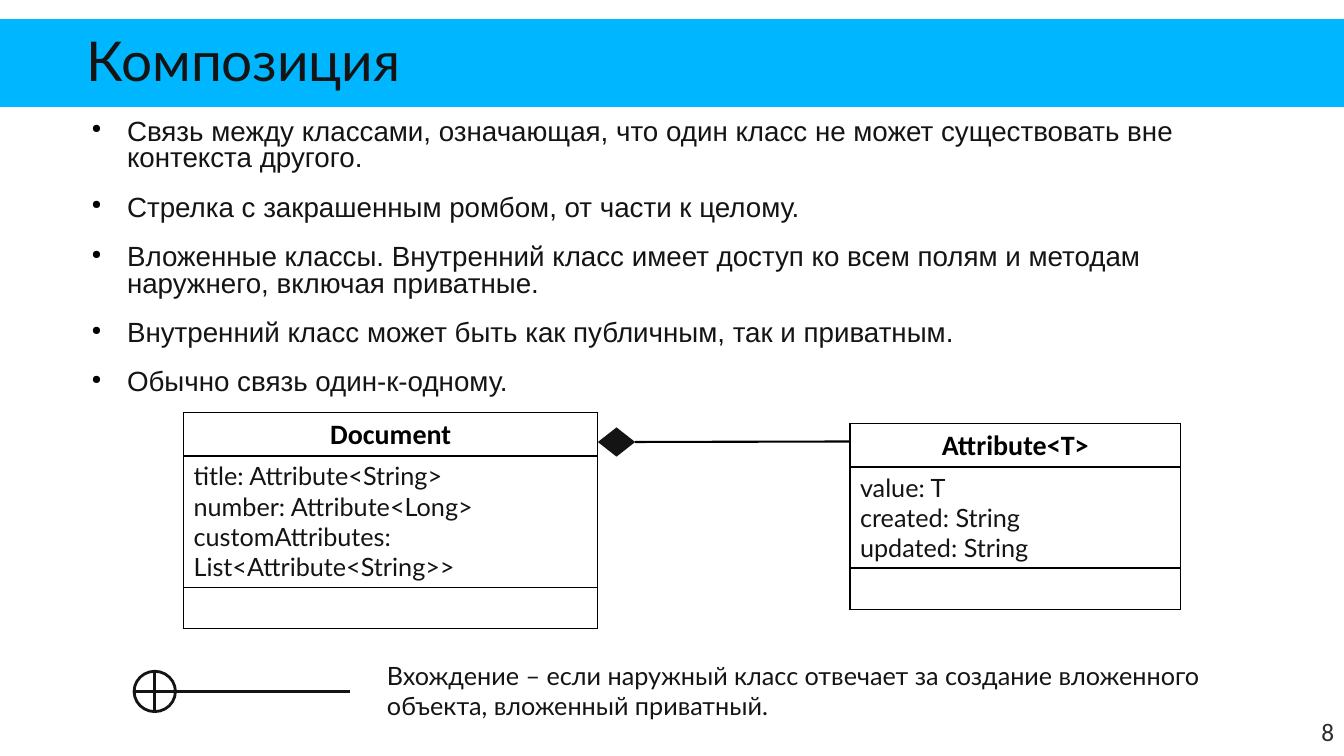
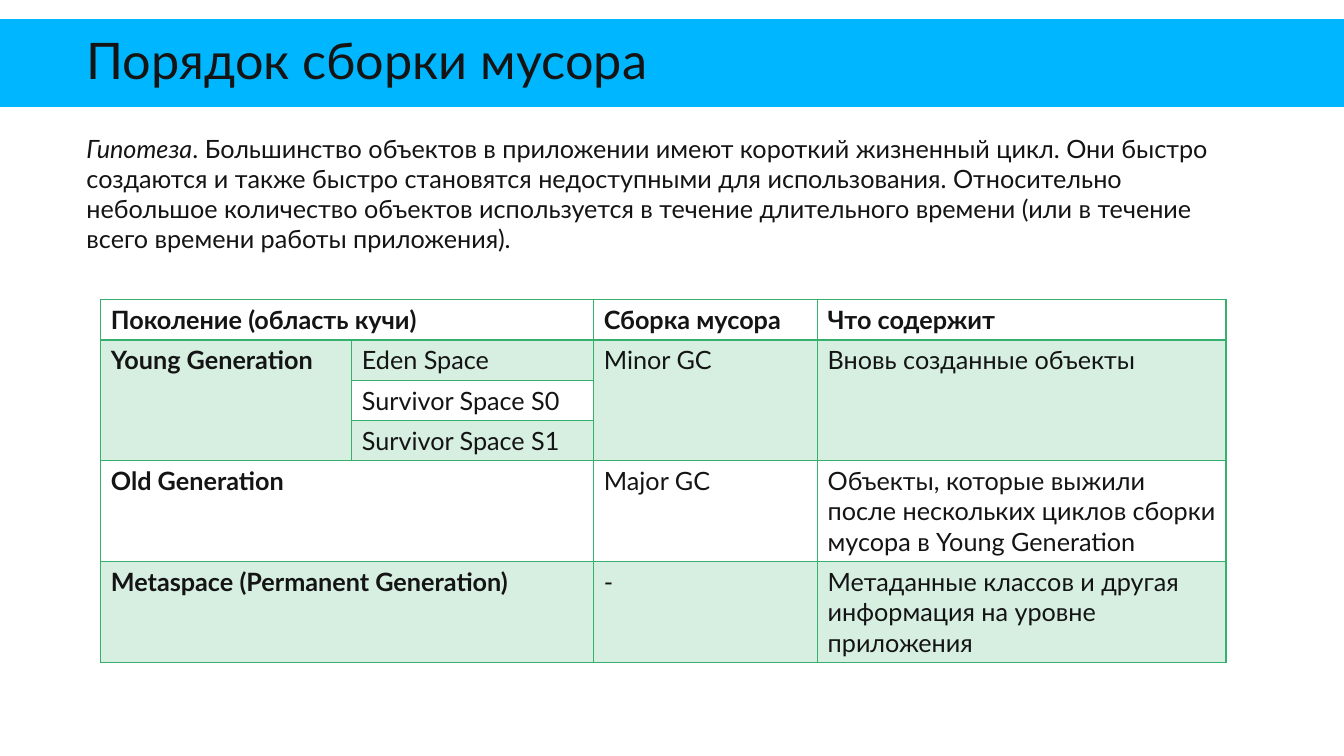
import pptx
import pptx.dml.color
import pptx.enum.shapes
import pptx.enum.text
import pptx.oxml
import pptx.oxml.ns
import pptx.util
from lxml import etree

Inches = pptx.util.Inches
Pt = pptx.util.Pt
RGBColor = pptx.dml.color.RGBColor
SHAPE = pptx.enum.shapes.MSO_SHAPE
ALIGN = pptx.enum.text.PP_ALIGN
ANCHOR = pptx.enum.text.MSO_ANCHOR

SKY = RGBColor(0x00, 0xB7, 0xFF)
INK = RGBColor(0x14, 0x14, 0x14)
GRAY = RGBColor(0x2C, 0x2C, 0x2C)
BLACK = RGBColor(0x00, 0x00, 0x00)
WHITE = RGBColor(0xFF, 0xFF, 0xFF)
GREEN = RGBColor(0x35, 0xB1, 0x6D)

SLIDE_WIDTH, SLIDE_HEIGHT = 13.33, 7.5

COMPOSITION_POINTS = [
    "Связь между классами, означающая, что один класс не может существовать вне контекста другого.",
    "Стрелка с закрашенным ромбом, от части к целому.",
    "Вложенные классы. Внутренний класс имеет доступ ко всем полям и методам наружнего, включая приватные.",
    "Внутренний класс может быть как публичным, так и приватным.",
    "Обычно связь один-к-одному.",
]
# name, fields, left, top, width, row heights
UML_CLASSES = [
    ("Document",
     ["title: Attribute<String>", "number: Attribute<Long>",
      "customAttributes: List<Attribute<String>>"],
     1.82, 4.09, 4.11, [0.43, 1.3, 0.41]),
    ("Attribute<T>",
     ["value: T", "created: String", "updated: String"],
     8.43, 4.2, 3.28, [0.43, 1, 0.41]),
]
NESTING_NOTE = ("Вхождение – если наружный класс отвечает за создание вложенного "
                "объекта, вложенный приватный.")

HYPOTHESIS = [
    ("Гипотеза", True),
    (". Большинство объектов в приложении имеют короткий жизненный цикл. Они быстро "
     "создаются и также быстро становятся недоступными для использования. Относительно "
     "небольшое количество объектов используется в течение длительного времени (или в "
     "течение всего времени работы приложения).", False),
]
GENERATIONS = [
    ["Поколение (область кучи)", "", "Сборка мусора", "Что содержит"],
    ["Young Generation", "Eden Space", "Minor GC", "Вновь созданные объекты"],
    ["", "Survivor Space S0", "", ""],
    ["", "Survivor Space S1", "", ""],
    ["Old Generation", "", "Major GC",
     "Объекты, которые выжили после нескольких циклов сборки мусора в Young Generation"],
    ["Metaspace (Permanent Generation)", "", "-",
     "Метаданные классов и другая информация на уровне приложения"],
]
GENERATION_MERGES = [((0, 0), (0, 1)), ((1, 0), (3, 0)), ((1, 2), (3, 2)),
                     ((1, 3), (3, 3)), ((4, 0), (4, 1)), ((5, 0), (5, 1))]
GENERATION_WIDTHS = [2.49, 2.4, 2.22, 4.05]
GENERATION_HEIGHTS = [0.4] * 4 + [1, 1]


def write(frame, paragraphs, size=18, font="Lato", color=INK, bold=False,
          align=None, spacing=None, before=None, after=None):
    """Fill a text frame; a paragraph is a string or a list of (text, italic) runs."""
    frame.word_wrap = True
    for index, content in enumerate(paragraphs):
        paragraph = frame.paragraphs[0] if index == 0 else frame.add_paragraph()
        paragraph.alignment = align
        paragraph.line_spacing = spacing
        paragraph.space_before = before
        paragraph.space_after = after
        for text, italic in [(content, False)] if isinstance(content, str) else content:
            run = paragraph.add_run()
            run.text = text
            run.font.size = Pt(size)
            run.font.name = font
            run.font.color.rgb = color
            run.font.bold = bold
            run.font.italic = italic


def add_text(slide, box, paragraphs, anchor=ANCHOR.TOP, inset=None, **text_format):
    frame = slide.shapes.add_textbox(*map(Inches, box)).text_frame
    frame.vertical_anchor = anchor
    if inset is not None:
        frame.margin_left = frame.margin_right = Inches(inset)
        frame.margin_top = frame.margin_bottom = Inches(inset)
    write(frame, paragraphs, **text_format)
    return frame


def add_bullets(frame):
    for paragraph in frame.paragraphs:
        properties = paragraph._p.get_or_add_pPr()
        properties.set("marL", str(Inches(0.47)))
        properties.set("indent", str(Inches(-0.35)))
        color = etree.SubElement(properties, pptx.oxml.ns.qn("a:buClr"))
        etree.SubElement(color, pptx.oxml.ns.qn("a:srgbClr"), val=str(BLACK))
        etree.SubElement(properties, pptx.oxml.ns.qn("a:buSzPct"), val="45000")
        etree.SubElement(properties, pptx.oxml.ns.qn("a:buChar"), char="●")


def add_figure(slide, preset, box, fill, line=None, width=2):
    figure = slide.shapes.add_shape(preset, *map(Inches, box))
    figure.shadow.inherit = False
    figure.fill.solid()
    figure.fill.fore_color.rgb = fill
    if line is None:
        figure.line.fill.background()
    else:
        figure.line.color.rgb = line
        figure.line.width = Pt(width)
    return figure


def add_line(slide, start, end, color, width):
    line = slide.shapes.add_connector(
        pptx.enum.shapes.MSO_CONNECTOR.STRAIGHT, *map(Inches, start + end))
    line.line.color.rgb = color
    line.line.width = Pt(width)
    etree.SubElement(line._element.spPr, pptx.oxml.ns.qn("a:effectLst"))
    return line


def add_grid(slide, left, top, widths, heights):
    """Add a table without the default header and banding."""
    grid = slide.shapes.add_table(
        len(heights), len(widths), Inches(left), Inches(top),
        Inches(sum(widths)), Inches(sum(heights))).table
    grid.first_row = grid.horz_banding = False
    for column, width in zip(grid.columns, widths):
        column.width = Inches(width)
    for row, height in zip(grid.rows, heights):
        row.height = Inches(height)
    return grid


def style_cell(cell, border, width, bottom_width=None, tint=None):
    """Set borders, and a 20 % fill where a tint is given."""
    if tint is None:
        cell.fill.background()
    else:
        cell.fill.solid()
        cell.fill.fore_color.rgb = tint
    properties = cell._tc.get_or_add_tcPr()
    for color in properties.iter(pptx.oxml.ns.qn("a:srgbClr")):
        etree.SubElement(color, pptx.oxml.ns.qn("a:alpha"), val="20000")
    for index, side in enumerate(["lnL", "lnR", "lnT", "lnB"]):
        points = bottom_width if side == "lnB" and bottom_width else width
        edge = etree.Element(pptx.oxml.ns.qn("a:" + side), w=str(int(Pt(points))))
        fill = etree.SubElement(edge, pptx.oxml.ns.qn("a:solidFill"))
        etree.SubElement(fill, pptx.oxml.ns.qn("a:srgbClr"), val=str(border))
        properties.insert(index, edge)


def add_titled_slide(deck, title, size):
    slide = deck.slides.add_slide(deck.slide_layouts[6])
    add_figure(slide, SHAPE.RECTANGLE, (0, 0.19, SLIDE_WIDTH, 0.87), SKY)
    add_text(slide, (0.76, 0.31, 11.81, 0.66), [title], anchor=ANCHOR.MIDDLE,
             size=size, spacing=0.85)
    return slide


def add_uml_class(slide, name, fields, left, top, width, heights):
    grid = add_grid(slide, left, top, [width], heights)
    write(grid.cell(0, 0).text_frame, [name], size=20, font="Calibri",
          color=BLACK, bold=True, align=ALIGN.CENTER)
    write(grid.cell(1, 0).text_frame, fields)
    for cell in grid.iter_cells():
        style_cell(cell, BLACK, 0.96)


def build_composition(deck):
    slide = add_titled_slide(deck, "Композиция", 39.2)
    add_text(slide, (12.42, 7.06, 0.91, 0.4), ["8"], anchor=ANCHOR.MIDDLE,
             font="Calibri", color=GRAY, align=ALIGN.RIGHT)
    points = add_text(slide, (0.79, 1.19, 11.8, 2.9), COMPOSITION_POINTS, inset=0,
                      size=19.8, font="Arial", spacing=0.8,
                      before=Pt(14.2), after=Pt(2))
    add_bullets(points)
    for uml_class in UML_CLASSES:
        add_uml_class(slide, *uml_class)

    diamond = add_figure(slide, SHAPE.DIAMOND, (5.93, 4.24, 0.37, 0.29), INK)
    composition = add_line(slide, (8.43, 4.38), (6.3, 4.38), BLACK, 1.5)
    composition.end_connect(diamond, 3)

    add_figure(slide, SHAPE.FLOWCHART_OR, (1.33, 6.66, 0.41, 0.4), WHITE, line=INK)
    add_line(slide, (1.74, 6.86), (3.47, 6.86), INK, 2)
    add_text(slide, (3.74, 6.5, 8.67, 0.71), [NESTING_NOTE])


def build_garbage_collection(deck):
    slide = add_titled_slide(deck, "Порядок сборки мусора", 36)
    add_text(slide, (0.76, 1.27, 11.64, 1.31), [HYPOTHESIS])
    grid = add_grid(slide, 1, 2.97, GENERATION_WIDTHS, GENERATION_HEIGHTS)
    for first, last in GENERATION_MERGES:
        grid.cell(*first).merge(grid.cell(*last))
    for row, texts in enumerate(GENERATIONS):
        for column, text in enumerate(texts):
            cell = grid.cell(row, column)
            if text:
                write(cell.text_frame, [text], bold=row == 0 or column == 0)
            style_cell(cell, GREEN, 1, bottom_width=2 if row == 0 else None,
                       tint=GREEN if row % 2 else None)


def main():
    deck = pptx.Presentation()
    deck.slide_width = Inches(SLIDE_WIDTH)
    deck.slide_height = Inches(SLIDE_HEIGHT)
    build_composition(deck)
    build_garbage_collection(deck)
    deck.save("out.pptx")


if __name__ == "__main__":
    main()
